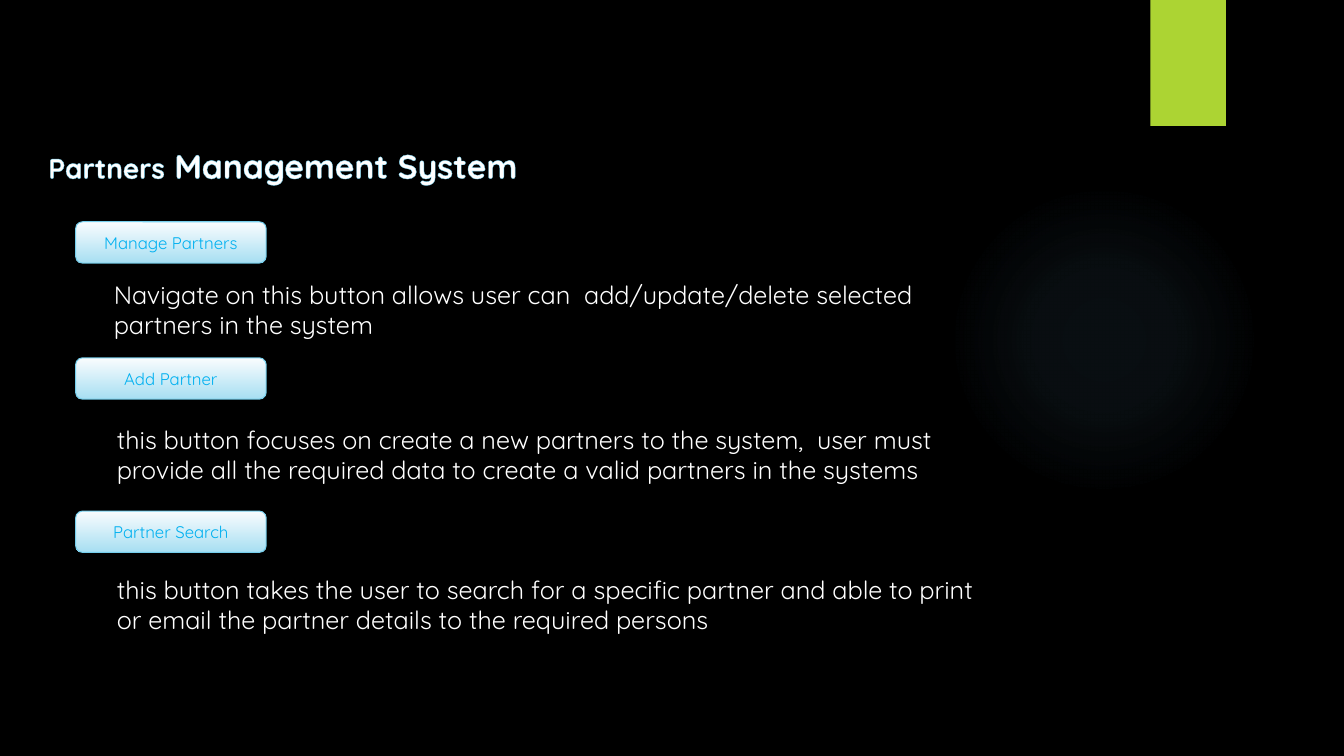
from lxml import etree
from pptx import Presentation
from pptx.dml.color import RGBColor
from pptx.enum.shapes import MSO_SHAPE as SHAPE
from pptx.enum.text import MSO_ANCHOR as ANCHOR, MSO_AUTO_SIZE as AUTO_SIZE, PP_ALIGN as ALIGN
from pptx.oxml import parse_xml
from pptx.oxml.ns import nsdecls, qn
from pptx.util import Inches, Pt

FONT = "Quicksand"
BLACK = RGBColor(0x00, 0x00, 0x00)
WHITE = RGBColor(0xFF, 0xFF, 0xFF)
GREEN = RGBColor(0xAC, 0xD4, 0x33)
GLOW = RGBColor(0x7A, 0xC4, 0xF0)
SKY = RGBColor(0x75, 0xCE, 0xEC)
BUTTON_TOP = RGBColor(0xF9, 0xFC, 0xFE)
BUTTON_BOTTOM = RGBColor(0xA8, 0xDF, 0xF2)
BUTTON_TEXT = RGBColor(0x00, 0xB0, 0xF0)

SECTIONS = [
    ("Manage Partners", 2.2, 1.03, 2.72,
     "Navigate on this button allows user can  add/update/delete selected partners in the system"),
    ("Add Partner", 3.55, 1.06, 4.16,
     "this button focuses on create a new partners to the system,  user must provide "
     "all the required data to create a valid partners in the systems"),
    ("Partner Search", 5.07, 1.06, 5.65,
     "this button takes the user to search for a specific partner and able to print "
     "or email the partner details to the required persons"),
]


def add_shape(s, kind, left, top, width, height):
    """Add a preset shape without line or shadow."""
    sp = s.shapes.add_shape(kind, Inches(left), Inches(top), Inches(width), Inches(height))
    sp.shadow.inherit = False
    sp.line.fill.background()
    return sp


def add_text_box(s, left, top, width, height):
    """Add a wrapping text box and return its text frame."""
    sp = s.shapes.add_textbox(Inches(left), Inches(top), Inches(width), Inches(height))
    tf = sp.text_frame
    tf.word_wrap = True
    tf.auto_size = AUTO_SIZE.SHAPE_TO_FIT_TEXT
    return tf


def style_run(r, size, color, bold=False):
    """Set the font of a run."""
    r.font.name = FONT
    r.font.size = Pt(size)
    r.font.color.rgb = color
    r.font.bold = bold


def add_glow(s):
    """Add the soft, translucent circle."""
    sp = add_shape(s, SHAPE.OVAL, 9.41, 1.83, 3.08, 3.08)
    stops = "".join(
        f'<a:gs pos="{pos * 1000}"><a:srgbClr val="{GLOW}"><a:alpha val="{alpha * 1000}"/></a:srgbClr></a:gs>'
        for pos, alpha in [(0, 7), (36, 6), (69, 0)])
    sp.fill.background()
    no_fill = sp._element.spPr.find(qn("a:noFill"))
    no_fill.getparent().replace(no_fill, parse_xml(
        f'<a:gradFill {nsdecls("a")}><a:gsLst>{stops}</a:gsLst><a:path path="circle">'
        '<a:fillToRect l="50000" t="50000" r="50000" b="50000"/></a:path></a:gradFill>'))


def add_tab(s):
    """Add the green tab with its shadow at the top edge."""
    sp = add_shape(s, SHAPE.RECTANGLE, 11.41, 0, 0.75, 1.25)
    sp.fill.solid()
    sp.fill.fore_color.rgb = GREEN
    sp._element.spPr.find(qn("a:effectLst")).append(parse_xml(
        f'<a:outerShdw {nsdecls("a")} blurRad="{Pt(3)}" dist="{Pt(2)}" dir="5400000" rotWithShape="0">'
        f'<a:srgbClr val="{BLACK}"><a:alpha val="45000"/></a:srgbClr></a:outerShdw>'))


def add_title(s):
    """Add the outlined title in two sizes."""
    p = add_text_box(s, -1.6, 1.39, 8.81, 0.91).paragraphs[0]
    p.alignment = ALIGN.CENTER
    for text, size in [("Partners", 20), (" Management System", 24)]:
        r = p.add_run()
        r.text = text
        style_run(r, size, WHITE, bold=True)
        outline = etree.Element(qn("a:ln"), w=str(Pt(0.8)))
        fill = etree.SubElement(outline, qn("a:solidFill"))
        etree.SubElement(fill, qn("a:srgbClr"), val=str(SKY))
        r.font._element.insert(0, outline)


def add_button(s, label, top):
    """Add a rounded gradient button."""
    sp = add_shape(s, SHAPE.ROUNDED_RECTANGLE, 0.75, top, 1.89, 0.41)
    sp.fill.gradient()
    sp.fill.gradient_angle = 270
    for stop, color in zip(sp.fill.gradient_stops, (BUTTON_TOP, BUTTON_BOTTOM)):
        stop.color.rgb = color
    sp.line.color.rgb = SKY
    sp.line.width = Pt(0.75)
    tf = sp.text_frame
    tf.text = label
    tf.vertical_anchor = ANCHOR.MIDDLE
    p = tf.paragraphs[0]
    p.alignment = ALIGN.CENTER
    style_run(p.runs[0], 12, BUTTON_TEXT)


def add_description(s, text, left, top):
    """Add the explanation of a button."""
    tf = add_text_box(s, left, top, 8.98, 0.71)
    tf.text = text
    style_run(tf.paragraphs[0].runs[0], 18, WHITE)


def main():
    """Build and save the slide."""
    prs = Presentation()
    prs.slide_width, prs.slide_height = Inches(13.33), Inches(7.5)
    s = prs.slides.add_slide(prs.slide_layouts[6])
    s.background.fill.solid()
    s.background.fill.fore_color.rgb = BLACK
    add_glow(s)
    add_tab(s)
    add_title(s)
    for label, button_top, left, top, text in SECTIONS:
        add_button(s, label, button_top)
        add_description(s, text, left, top)
    prs.save("out.pptx")


if __name__ == "__main__":
    main()
